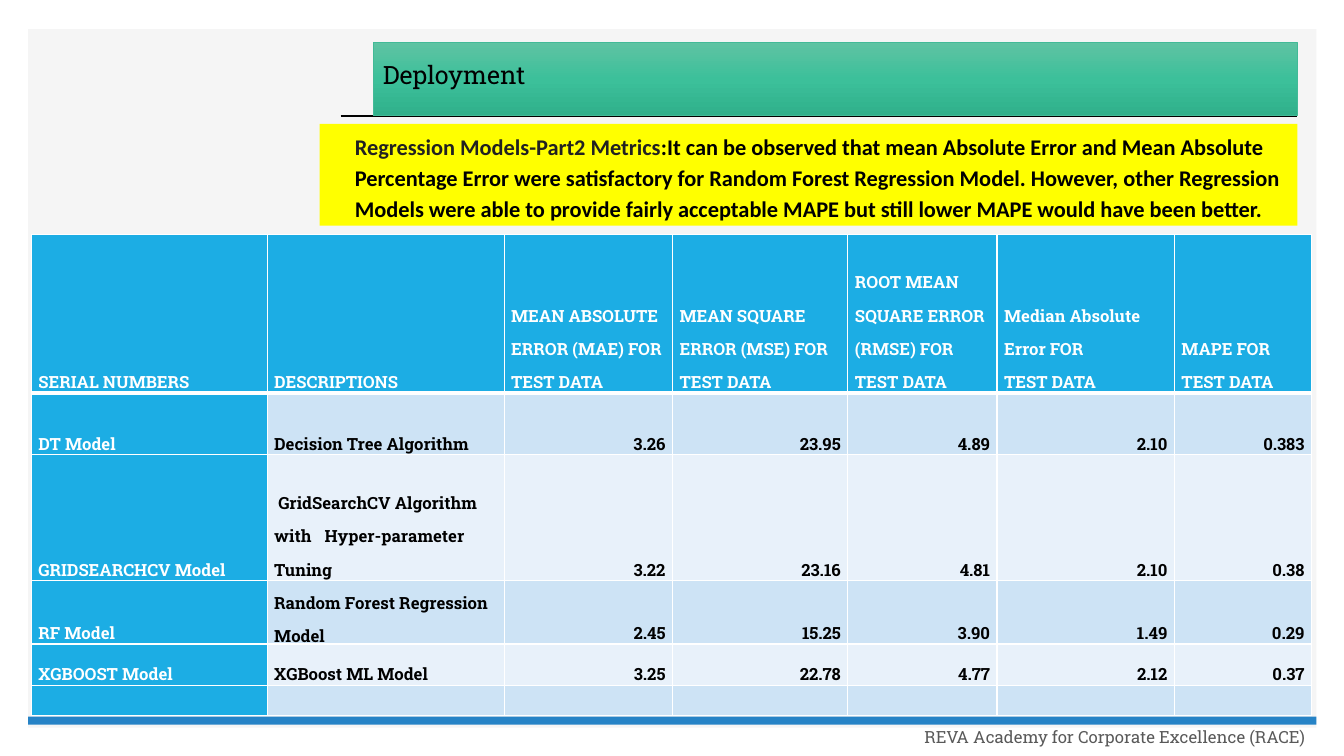
from copy import deepcopy
from dataclasses import dataclass

from lxml.etree import SubElement
from pptx import Presentation
from pptx.dml.color import RGBColor as Rgb
from pptx.enum.shapes import MSO_CONNECTOR as Connector, MSO_SHAPE as Shape
from pptx.enum.text import MSO_ANCHOR as Anchor, PP_ALIGN as Align
from pptx.oxml.ns import qn
from pptx.util import Inches, Pt


@dataclass(frozen=True)
class Theme:
    """Colours, fonts and type sizes of the slide."""
    panel: str = "F5F5F5"
    rule: str = "2683C6"
    title_stops: tuple = ("5FC3A3", "3CC09A", "30B08B")
    title_edge: str = "42BA97"
    notice: str = "FFFF00"
    notice_lead: str = "212121"
    header: str = "1CADE4"
    bands: tuple = ("CDE3F5", "E8F1FA")
    white: str = "FFFFFF"
    black: str = "000000"
    footer: str = "595959"
    slab: str = "Roboto Slab"
    sans: str = "Calibri"
    title_size: int = 18
    notice_size: int = 16
    small_size: int = 12


def assign(target, values):
    """Set each named attribute on the target."""
    for name, value in values.items():
        setattr(target, name, value)


class MetricsSlide:
    """Draws elements placed by percentages of the slide's size."""

    def __init__(self, deck, theme):
        """Add a blank page to the deck."""
        self.deck, self.theme = deck, theme
        self.page = deck.slides.add_slide(deck.slide_layouts[6])

    def across(self, share):
        """Turn a percentage of the width into a length."""
        return round(self.deck.slide_width * share / 100)

    def down(self, share):
        """Turn a percentage of the height into a length."""
        return round(self.deck.slide_height * share / 100)

    def place(self, left, top, width, height):
        """Turn four percentages into a frame."""
        return self.across(left), self.down(top), self.across(width), self.down(height)

    def panel(self, frame, colour):
        """Draw a plain filled rectangle."""
        box = self.page.shapes.add_shape(Shape.RECTANGLE, *self.place(*frame))
        box.shadow.inherit = False
        box.fill.solid()
        box.fill.fore_color.rgb = Rgb.from_string(colour)
        box.line.fill.background()
        return box

    def gradient(self, box, colours, edge):
        """Give a box a vertical gradient and a thin edge."""
        box.fill.gradient()
        box.fill.gradient_angle = 270
        stop_list = box._element.spPr.find(".//" + qn("a:gsLst"))
        stop_list.append(deepcopy(stop_list[0]))
        for index, (stop, colour) in enumerate(zip(box.fill.gradient_stops, colours)):
            stop.color.rgb = Rgb.from_string(colour)
            stop.position = index / (len(colours) - 1)
        box.line.color.rgb = Rgb.from_string(edge)
        box.line.width = Pt(0.5)

    def rule(self, left, right, top):
        """Draw a thin horizontal line."""
        line = self.page.shapes.add_connector(
            Connector.STRAIGHT, self.across(left), self.down(top),
            self.across(right), self.down(top))
        line.line.color.rgb = Rgb.from_string(self.theme.black)
        line.line.width = Pt(1)
        SubElement(line._element.spPr, qn("a:effectLst"))

    def add_spans(self, para, spans, font, layout):
        """Fill a paragraph with (text, colour) spans."""
        assign(para, layout)
        for text, colour in spans:
            span = para.add_run()
            span.text = text
            assign(span.font, font)
            span.font.color.rgb = Rgb.from_string(colour)

    def text(self, box, spans, font, layout, frame=None):
        """Put one wrapped paragraph into a box."""
        assign(box.text_frame, {"word_wrap": True, **(frame or {})})
        self.add_spans(box.text_frame.paragraphs[0], spans, font, layout)

    def label(self, frame, spans, font, layout):
        """Add a vertically centred text box."""
        box = self.page.shapes.add_textbox(*self.place(*frame))
        self.text(box, spans, font, layout, {"vertical_anchor": Anchor.MIDDLE})

    def borders(self, cell, widths):
        """Draw white cell borders, widths in points by side."""
        properties = cell._tc.get_or_add_tcPr()
        for side, width in widths.items():
            line = SubElement(properties, qn(f"a:ln{side}"), w=str(Pt(width)))
            fill = SubElement(line, qn("a:solidFill"))
            SubElement(fill, qn("a:srgbClr"), val=self.theme.white)

    def cell(self, cell, value, row, column):
        """Style and fill one table cell."""
        theme = self.theme
        heading = row == 0 or column == 0
        assign(cell, {"margin_left": Inches(0.07), "margin_right": Inches(0.07),
                      "margin_top": 0, "margin_bottom": 0,
                      "vertical_anchor": Anchor.BOTTOM})
        self.borders(cell, {"L": 1, "R": 1, "T": 3 if row == 1 else 1,
                            "B": 3 if row == 0 else 1})
        cell.fill.solid()
        cell.fill.fore_color.rgb = Rgb.from_string(
            theme.header if heading else theme.bands[(row - 1) % 2])
        if not value:
            return
        font = {"name": theme.slab, "size": Pt(theme.small_size), "bold": True}
        align = Align.RIGHT if row and column > 1 else Align.LEFT
        for index, text in enumerate(value.split("\n")):
            para = cell.text_frame.add_paragraph() if index else cell.text_frame.paragraphs[0]
            if "\t" in text:
                properties = para._p.get_or_add_pPr()
                properties.set("indent", str(Inches(0.04)))
                tabs = SubElement(properties, qn("a:tabLst"))
                SubElement(tabs, qn("a:tab"), pos=str(Inches(1.18)), algn="l")
            self.add_spans(para, [(text, theme.white if heading else theme.black)], font,
                           {"alignment": align, "line_spacing": 1.5})

    def table(self, left, top, widths, heights, rows):
        """Draw the metrics table."""
        table = self.page.shapes.add_table(
            len(rows), len(widths),
            *self.place(left, top, sum(widths), sum(heights))).table
        for column, width in zip(table.columns, widths):
            column.width = self.across(width)
        for line, height in zip(table.rows, heights):
            line.height = self.down(height)
        for row, values in enumerate(rows):
            for column, value in enumerate(values):
                self.cell(table.cell(row, column), value, row, column)


COLUMNS = (17.55, 17.63, 12.53, 13.05, 11.1, 13.2, 10.2)
ROWS = (20.93, 8.13, 16.67, 8.4, 5.47, 3.73)
METRICS = (
    ("SERIAL NUMBERS", "DESCRIPTIONS", "MEAN ABSOLUTE ERROR (MAE) FOR TEST DATA",
     "MEAN SQUARE ERROR (MSE) FOR TEST DATA",
     "ROOT MEAN SQUARE ERROR (RMSE) FOR TEST DATA",
     "Median Absolute Error FOR\nTEST DATA", "MAPE FOR TEST DATA"),
    ("DT Model", "Decision Tree Algorithm", "3.26", "23.95", "4.89", "2.10", "0.383"),
    ("GRIDSEARCHCV Model", "GridSearchCV Algorithm with\tHyper-parameter Tuning",
     "3.22", "23.16", "4.81", "2.10", "0.38"),
    ("RF Model", "Random Forest Regression Model", "2.45", "15.25", "3.90", "1.49", "0.29"),
    ("XGBOOST Model", "XGBoost ML Model", "3.25", "22.78", "4.77", "2.12", "0.37"),
    ("",) * len(COLUMNS),
)
FINDING = (
    "It can be observed that mean Absolute Error and Mean Absolute Percentage Error "
    "were satisfactory for Random Forest Regression Model. However, other Regression "
    "Models were able to provide fairly acceptable MAPE but still lower MAPE would "
    "have been better.")


def main():
    """Build the deployment slide and save it."""
    deck = Presentation()
    assign(deck, {"slide_width": Inches(13.33), "slide_height": Inches(7.5)})
    theme = Theme()
    slide = MetricsSlide(deck, theme)

    slide.panel((2.1, 3.87, 95.85, 92.4), theme.panel)
    slide.rule(25.35, 96.53, 15.33)
    slide.panel((2.1, 94.8, 95.85, 1.07), theme.rule)
    slide.label((65.25, 94.4, 32.63, 6.4),
                [("REVA Academy for Corporate Excellence (RACE)", theme.footer)],
                {"name": theme.slab, "size": Pt(theme.small_size)},
                {"alignment": Align.RIGHT, "line_spacing": 0.9})

    title = slide.panel((27.75, 5.6, 68.78, 9.73), theme.panel)
    slide.gradient(title, theme.title_stops, theme.title_edge)
    slide.text(title, [("Deployment", theme.black)],
               {"name": theme.slab, "size": Pt(theme.title_size), "bold": False},
               {"alignment": Align.LEFT, "line_spacing": 0.9},
               {"vertical_anchor": Anchor.MIDDLE, "margin_bottom": Inches(0.1)})

    notice = slide.panel((23.78, 16.4, 72.75, 13.47), theme.notice)
    slide.text(notice,
               [("Regression Models-Part2 Metrics", theme.notice_lead),
                (":" + FINDING, theme.black)],
               {"name": theme.sans, "size": Pt(theme.notice_size), "bold": True},
               {"alignment": Align.LEFT, "line_spacing": 1.15},
               {"vertical_anchor": Anchor.TOP, "margin_left": Inches(0.35)})

    slide.table(2.33, 31.07, COLUMNS, ROWS, METRICS)
    deck.save("out.pptx")


if __name__ == "__main__":
    main()
